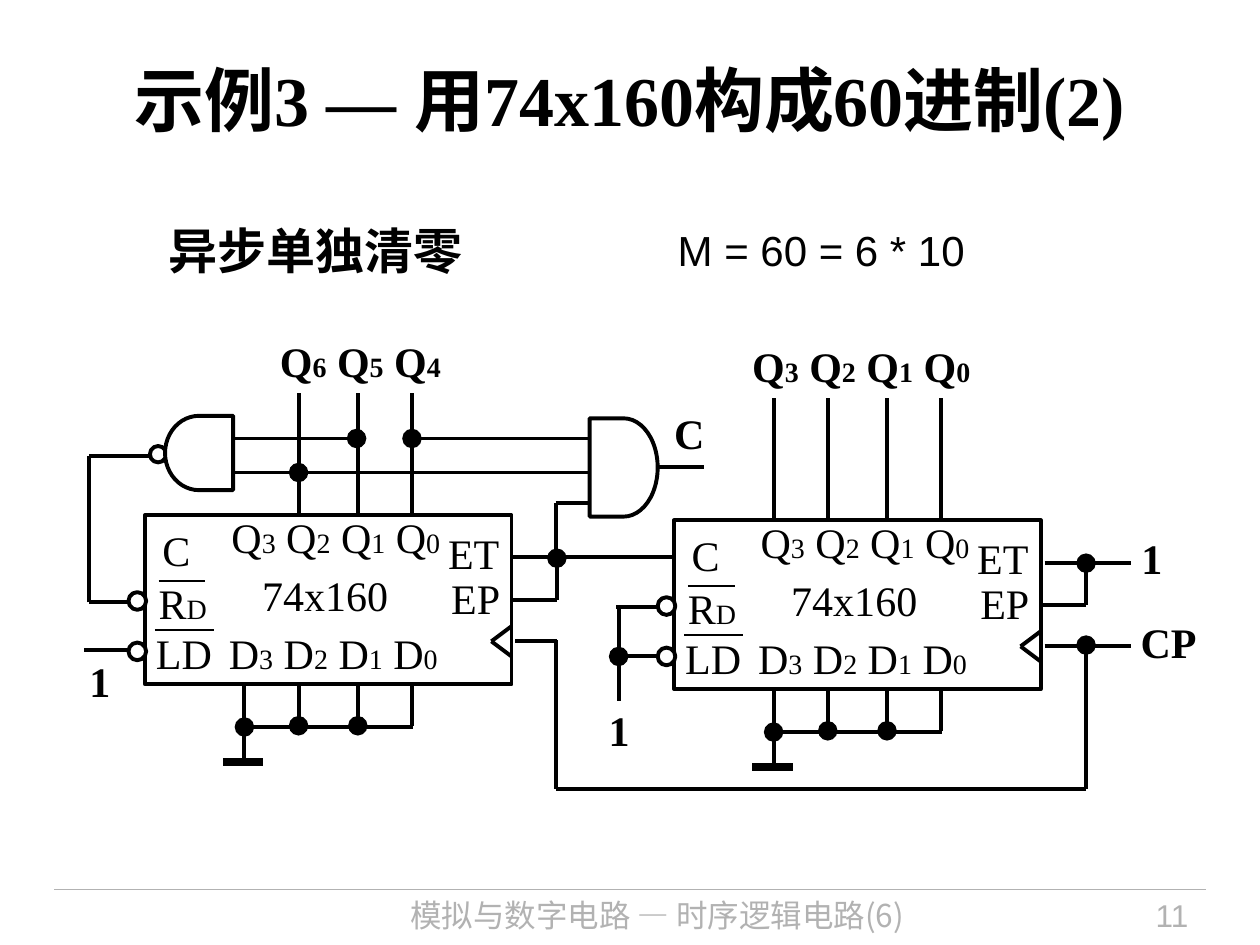
from lxml import etree
from pptx import Presentation
from pptx.dml.color import RGBColor
from pptx.enum.shapes import MSO_CONNECTOR as CONN, MSO_SHAPE as SHAPE
from pptx.enum.text import MSO_ANCHOR as ANCHOR, MSO_AUTO_SIZE as FIT, PP_ALIGN as ALIGN
from pptx.oxml.ns import qn
from pptx.util import Inches, Pt

BLACK, WHITE, GREY = "000000", "FFFFFF", "B2B2B2"
SERIF, SANS, CJK = "Times New Roman", "Arial", "Noto Sans CJK SC"


def rgb(value):
    return RGBColor.from_string(value)


class Circuit:
    width = 2.25
    sub_size = 16

    def __init__(self, slide):
        self.slide = slide

    def text(self, x, y, w, h, content, size=24, font=SERIF, color=BLACK, bold=False,
             align=ALIGN.CENTER, anchor=ANCHOR.MIDDLE, fit=FIT.SHAPE_TO_FIT_TEXT,
             inset=(0.05, 0.05), spacing=None):
        box = self.slide.shapes.add_textbox(Inches(x), Inches(y), Inches(w), Inches(h))
        tf = box.text_frame
        tf.word_wrap = False
        tf.auto_size = fit
        tf.vertical_anchor = anchor
        tf.margin_left = tf.margin_right = Inches(inset[0])
        tf.margin_top = tf.margin_bottom = Inches(inset[1])
        p = tf.paragraphs[0]
        p.alignment = align
        p.line_spacing = spacing
        for i, part in enumerate(content.split("|")):
            r = p.add_run()
            r.text = part
            r.font.size = Pt(self.sub_size if i % 2 else size)
            r.font.bold = bold
            r.font.color.rgb = rgb(color)
            r.font.name = font
            etree.SubElement(r.font._element, qn("a:ea")).set("typeface", CJK)

    def signal(self, x, y, w, content):
        self.text(x, y, w, 0.36, content, bold=True, anchor=ANCHOR.TOP,
                  inset=(0, 0), spacing=0.9)

    def shape(self, kind, x, y, w, h, fill=WHITE, rotation=0):
        sp = self.slide.shapes.add_shape(kind, Inches(x), Inches(y), Inches(w), Inches(h))
        sp.shadow.inherit = False
        sp.rotation = rotation
        if fill:
            sp.fill.solid()
            sp.fill.fore_color.rgb = rgb(fill)
        else:
            sp.fill.background()
        sp.line.color.rgb = rgb(BLACK)
        sp.line.width = Pt(self.width)
        return sp

    def wire(self, x1, y1, x2, y2, dot=None, width=width, color=BLACK, start=None):
        cn = self.slide.shapes.add_connector(
            CONN.STRAIGHT, Inches(x1), Inches(y1), Inches(x2), Inches(y2))
        if start:
            cn.begin_connect(start, 3)
        cn.line.color.rgb = rgb(color)
        cn.line.width = Pt(width)
        if dot:
            end = etree.SubElement(cn.line._get_or_add_ln(), qn(f"a:{dot}End"))
            for key, value in (("type", "oval"), ("w", "lg"), ("len", "lg")):
                end.set(key, value)
        etree.SubElement(cn._element.spPr, qn("a:effectLst"))

    def chip(self, x, y, outputs):
        pins = (0.79, 1.22, 1.69, 2.12)
        body = self.shape(SHAPE.RECTANGLE, x, y, 2.91, 1.34, fill=None)
        for dx, dy, w, label in (
                (0.59, -0.08, 1.85, "Q|3| Q|2| Q|1| Q|0"), (0.04, 0.02, 0.42, "C"),
                (2.31, 0.05, 0.6, "ET"), (2.33, 0.4, 0.59, "EP"),
                (0.83, 0.38, 1.2, "74x160"), (0.01, 0.44, 0.58, "R|D"),
                (-0.01, 0.84, 0.64, "LD"), (0.57, 0.84, 1.85, "D|3| D|2| D|1| D|0")):
            self.text(x + dx, y + dy, w, 0.5, label)
        for left, right, dy in ((0.11, 0.48, 0.52), (0.08, 0.55, 0.91)):
            self.wire(x + left, y + dy, x + right, y + dy, width=1.5)
        for dy in (0.88, 1.12):
            self.wire(x + 2.91, y + dy, x + 2.75, y + 1)
        for dy in (0.61, 1.01):
            self.shape(SHAPE.OVAL, x - 0.13, y + dy, 0.14, 0.14)
        for dx in pins[-outputs:]:
            self.wire(x + dx, y, x + dx, y - 0.97)
        for dx, dot in zip(pins[1:], ("head", "head", None)):
            self.wire(x + dx, y + 1.67, x + dx, y + 1.34, dot)
        self.wire(x + pins[0], y + 1.96, x + pins[0], y + 1.34)
        self.wire(x + pins[0], y + 1.68, x + pins[-1] + 0.01, y + 1.68, "head")
        self.wire(x + 0.62, y + 1.96, x + 0.94, y + 1.96, width=4.5)
        self.wire(x + 2.91, y + 0.67, x + 3.27, y + 0.67, start=body)
        self.wire(x + 3.27, y + 0.67, x + 3.27, y + 0.34, "tail")


def main():
    prs = Presentation()
    prs.slide_width, prs.slide_height = Inches(10), Inches(7.5)
    c = Circuit(prs.slides.add_slide(prs.slide_layouts[6]))

    c.wire(0.43, 7.06, 9.57, 7.06, width=0.75, color=GREY)
    footer = dict(size=18, color=GREY, anchor=ANCHOR.TOP, fit=FIT.NONE, inset=(0.1, 0.05))
    c.text(2.4, 7.06, 5.63, 0.44, "模拟与数字电路 — 时序逻辑电路(6)", font=CJK, **footer)
    c.text(8.2, 7.06, 1.33, 0.44, "11", font=SANS, align=ALIGN.RIGHT, **footer)
    c.text(0.5, 0.16, 9, 1.25, "示例3 — 用74x160构成60进制(2)", size=40, bold=True, fit=FIT.NONE)
    heading = dict(font=SANS, align=ALIGN.LEFT, anchor=ANCHOR.TOP, inset=(0.1, 0.05))
    c.text(1.24, 1.7, 2.53, 0.57, "异步单独清零", size=28, bold=True, **heading)
    c.text(5.28, 1.73, 2.48, 0.5, "M = 60 = 6 * 10", **heading)

    for x1, y1, x2, y2, dot in (
            (0.67, 5.16, 1.15, 5.16, None), (0.71, 4.78, 1.14, 4.78, None),
            (0.71, 4.78, 0.71, 3.62, None), (0.71, 3.62, 1.18, 3.62, None),
            (4.91, 5.21, 5.34, 5.21, "head"), (4.89, 4.82, 5.34, 4.82, None),
            (4.91, 5.56, 4.91, 4.8, None), (4.05, 4.42, 5.35, 4.42, None),
            (4.09, 5.09, 4.42, 5.09, None), (4.41, 6.26, 4.41, 5.08, None),
            (4.41, 6.26, 8.62, 6.26, None), (8.62, 6.26, 8.62, 5.12, "tail"),
            (8.29, 4.47, 8.98, 4.47, None), (8.29, 5.13, 8.98, 5.13, None),
            (1.85, 3.75, 2.37, 3.75, "tail"), (2.37, 3.75, 4.68, 3.75, None),
            (1.85, 3.48, 2.83, 3.48, "tail"), (3.27, 3.48, 4.68, 3.48, "head"),
            (4.41, 3.99, 4.68, 3.99, None), (4.41, 3.99, 4.41, 4.45, None)):
        c.wire(x1, y1, x2, y2, dot)

    c.chip(1.15, 4.09, outputs=3)
    c.chip(5.35, 4.13, outputs=4)

    c.shape(SHAPE.OVAL, 1.19, 3.54, 0.13, 0.13)
    c.shape(SHAPE.FLOWCHART_DELAY, 1.31, 3.3, 0.54, 0.59, rotation=180)
    and_gate = c.shape(SHAPE.FLOWCHART_DELAY, 4.68, 3.32, 0.54, 0.78)
    c.wire(5.22, 3.71, 5.59, 3.71, start=and_gate)

    c.text(2.12, 2.61, 1.48, 0.5, "Q|6| Q|5| Q|4", bold=True)
    c.text(5.87, 2.65, 1.93, 0.5, "Q|3| Q|2| Q|1| Q|0", bold=True)
    for x, y, w, label in ((0.71, 5.25, 0.16, "1"), (4.83, 5.64, 0.16, "1"),
                           (9.06, 4.27, 0.16, "1"), (8.98, 4.94, 0.59, "CP"),
                           (5.35, 3.28, 0.24, "C")):
        c.signal(x, y, w, label)

    prs.save("out.pptx")


if __name__ == "__main__":
    main()
